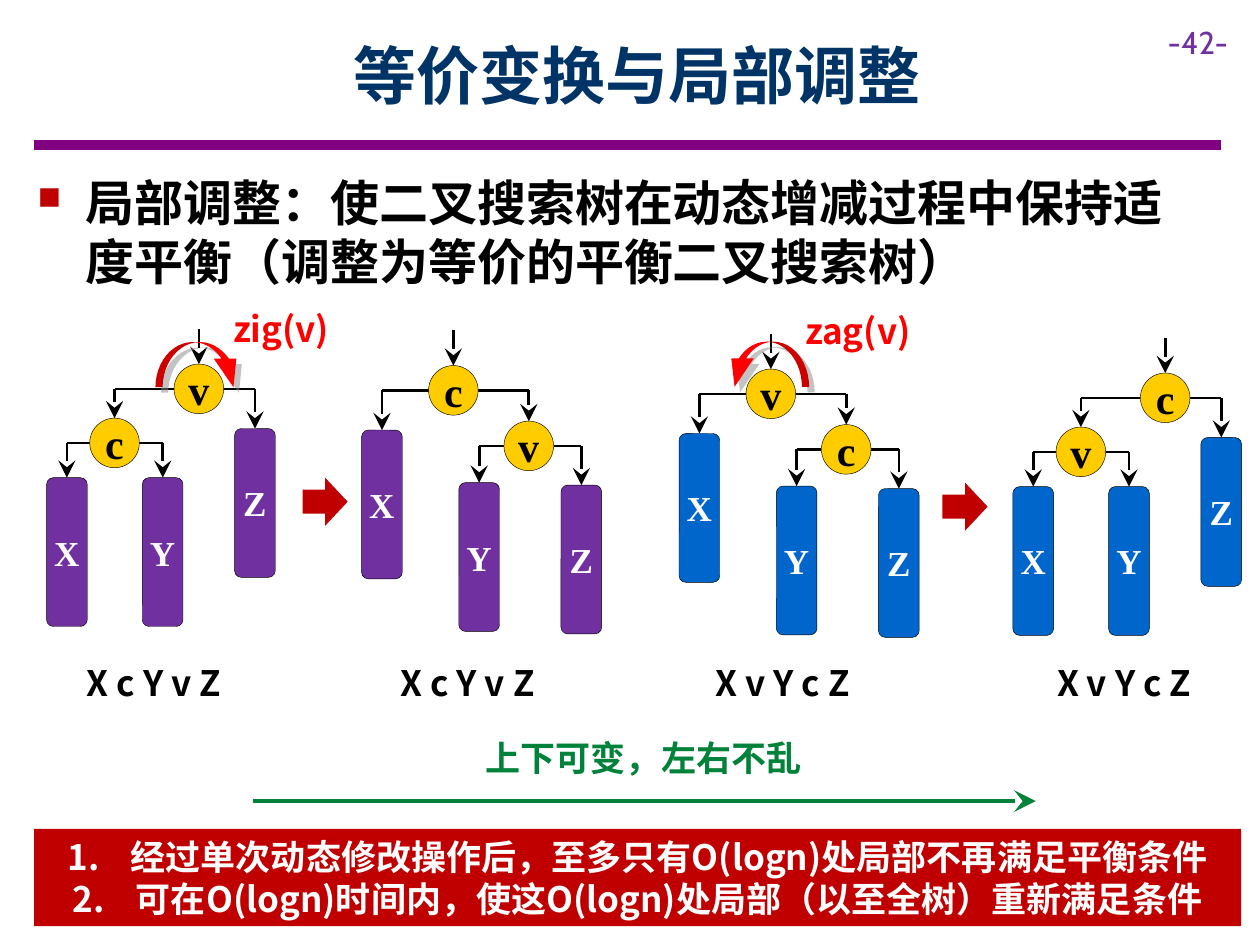
from lxml import etree
from pptx import Presentation
from pptx.dml.color import RGBColor
from pptx.enum.shapes import MSO_CONNECTOR, MSO_SHAPE
from pptx.enum.text import MSO_ANCHOR, PP_ALIGN
from pptx.oxml.ns import qn
from pptx.util import Cm, Pt

STRAIGHT = MSO_CONNECTOR.STRAIGHT
ROUNDED, RECTANGLE = MSO_SHAPE.ROUNDED_RECTANGLE, MSO_SHAPE.RECTANGLE
RIGHT_ARROW, CURVED_ARROW = MSO_SHAPE.RIGHT_ARROW, MSO_SHAPE.CURVED_LEFT_ARROW
LEFT, CENTER = PP_ALIGN.LEFT, PP_ALIGN.CENTER
TOP, MIDDLE = MSO_ANCHOR.TOP, MSO_ANCHOR.MIDDLE

SANS, SERIF, NUMBER_FONT = "Noto Sans CJK SC", "Times New Roman", "Cabin"
BLACK, WHITE = RGBColor(0, 0, 0), RGBColor(255, 255, 255)
NAVY, RULE_PURPLE = RGBColor(0, 0x33, 0x66), RGBColor(0x80, 0, 0x80)
PURPLE, BLUE = RGBColor(0x70, 0x30, 0xA0), RGBColor(0, 0x66, 0xCC)
YELLOW, GREEN = RGBColor(0xFF, 0xCC, 0), RGBColor(0, 0x82, 0x3B)
DARK_RED, RED = RGBColor(0xC0, 0, 0), RGBColor(0xFF, 0, 0)

TITLE = "等价变换与局部调整"
POINT = "局部调整：使二叉搜索树在动态增减过程中保持适度平衡（调整为等价的平衡二叉搜索树）"
MOTTO = "上下可变，左右不乱"
CONCLUSIONS = [
    "经过单次动态修改操作后，至多只有O(logn)处局部不再满足平衡条件",
    "可在O(logn)时间内，使这O(logn)处局部（以至全树）重新满足条件",
]

# Offsets in cm from the top left corner of the root
LEFT_HEAVY = {"child": (-1.7, 1.09), "X": (-2.57, 2.29), "Y": (-0.64, 2.29), "Z": (1.22, 1.3)}
RIGHT_HEAVY = {"child": (1.52, 1.12), "X": (-1.35, 1.3), "Y": (0.61, 2.36), "Z": (2.67, 2.41)}
# root left, root top, root name, child name, layout, bar colour, order, order left
TREES = [
    (3.51, 7.34, "v", "c", LEFT_HEAVY, PURPLE, "X c Y v Z", 1.5),
    (8.64, 7.37, "c", "v", RIGHT_HEAVY, PURPLE, "X c Y v Z", 7.82),
    (15.04, 7.44, "v", "c", RIGHT_HEAVY, BLUE, "X v Y c Z", 14.17),
    (22.99, 7.52, "c", "v", LEFT_HEAVY, BLUE, "X v Y c Z", 21.06),
]
STEP_ARROWS = [(6.1, 9.63), (19, 9.73)]
# label, label left, label top, arrow left, arrow top, arrow length, mirrored
ROTATIONS = [
    ("zig(v)", 4.45, 6.07, 3.58, 6.45, 1.8, False),
    ("zag(v)", 15.98, 6.1, 14.99, 6.48, 1.73, True),
]
BALL, BAR_WIDTH, BAR_HEIGHT = 1, 0.82, 3


def add_xml(parent, tag, **attributes):
    return etree.SubElement(parent, qn(tag), attributes)


def write(shape, texts, size, color, font=SANS, bold=True, align=LEFT, anchor=TOP,
          inset=(0.25, 0.13), bullet=None, indent=0, after=0):
    frame = shape.text_frame
    frame.word_wrap = True
    frame.vertical_anchor = anchor
    frame.margin_left = frame.margin_right = Cm(inset[0])
    frame.margin_top = frame.margin_bottom = Cm(inset[1])
    for index, text in enumerate(texts):
        paragraph = frame.add_paragraph() if index else frame.paragraphs[0]
        if bullet:
            properties = paragraph._p.get_or_add_pPr()
            properties.set("marL", str(Cm(indent)))
            properties.set("indent", str(-Cm(indent)))
            bullet(properties)
        paragraph.alignment = align
        paragraph.space_after = Pt(after)
        if font == SANS:
            paragraph.line_spacing = Pt(round(size * 1.2))
        run = paragraph.add_run()
        run.text = text
        for name, value in {"name": font, "size": Pt(size), "bold": bold}.items():
            setattr(run.font, name, value)
        run.font.color.rgb = color
        add_xml(run._r.get_or_add_rPr(), "a:ea", typeface=font)


def square_bullet(properties):
    color = add_xml(properties, "a:buClr")
    add_xml(color, "a:srgbClr", val=str(DARK_RED))
    add_xml(properties, "a:buSzPct", val="65000")
    add_xml(properties, "a:buChar", char="■")


def number_bullet(properties):
    add_xml(properties, "a:buAutoNum", type="arabicPeriod")


def add_text(slide, box, text, size, color, **style):
    write(slide.shapes.add_textbox(*map(Cm, box)), [text], size, color, **style)


def add_shape(slide, kind, box, fill, outlined=False):
    shape = slide.shapes.add_shape(kind, *map(Cm, box))
    shape.shadow.inherit = False
    shape.fill.solid()
    shape.fill.fore_color.rgb = fill
    if outlined:
        shape.line.color.rgb = BLACK
        shape.line.width = Pt(0.25)
    else:
        shape.line.fill.background()
    return shape


def add_line(slide, start, end, color=BLACK, width=1.5, arrow=False):
    line = slide.shapes.add_connector(STRAIGHT, *map(Cm, (*start, *end)))
    line.line.color.rgb = color
    line.line.width = Pt(width)
    if arrow:
        add_xml(line.line._get_or_add_ln(), "a:tailEnd", type="stealth", w="lg", len="lg")
    add_xml(line._element.spPr, "a:effectLst")


def add_branch(slide, parent, target, target_width):
    """Run sideways from the parent ball, then down to the top of the target."""
    x = target[0] + target_width / 2
    y = parent[1] + BALL / 2
    side = parent[0] if x < parent[0] else parent[0] + BALL
    add_line(slide, (side, y), (x, y))
    add_line(slide, (x, y), (x, target[1]), arrow=True)


def add_ball(slide, position, name):
    ball = add_shape(slide, ROUNDED, (*position, BALL, BALL), YELLOW, outlined=True)
    ball.adjustments[0] = 0.5
    write(ball, [name], 24, BLACK, font=SERIF, align=CENTER, anchor=MIDDLE, inset=(0, 0))


def add_tree(slide, left, top, root_name, child_name, layout, color):
    root = (left, top)
    places = {name: (left + dx, top + dy) for name, (dx, dy) in layout.items()}
    child = places.pop("child")
    outer = "Z" if layout is LEFT_HEAVY else "X"
    center = left + BALL / 2
    add_line(slide, (center, top - 0.71), (center, top), arrow=True)
    add_branch(slide, root, child, BALL)
    for name, place in places.items():
        add_branch(slide, root if name == outer else child, place, BAR_WIDTH)
    for name, place in places.items():
        bar = add_shape(slide, ROUNDED, (*place, BAR_WIDTH, BAR_HEIGHT), color, outlined=True)
        write(bar, [name], 20, WHITE, font=SERIF, align=CENTER, anchor=MIDDLE, inset=(0, 0.25))
    add_ball(slide, root, root_name)
    add_ball(slide, child, child_name)


def add_rotation_arrow(slide, left, top, length, mirrored):
    arrow = add_shape(slide, CURVED_ARROW, (left, top, 0.91, length), RED)
    arrow.rotation = 270
    for index, value in enumerate((0.16, 0.5, 0.633)):
        arrow.adjustments[index] = value
    properties = arrow._element.spPr
    if mirrored:
        properties.find(qn("a:xfrm")).set("flipV", "1")
    shadow = add_xml(properties.find(qn("a:effectLst")), "a:outerShdw", dist=str(Pt(4.5)),
                     dir="2700000", algn="ctr", rotWithShape="0")
    add_xml(add_xml(shadow, "a:srgbClr", val="888888"), "a:alpha", val="50000")


def main():
    presentation = Presentation()
    presentation.slide_width, presentation.slide_height = Cm(25.4), Cm(19.05)
    slide = presentation.slides.add_slide(presentation.slide_layouts[6])

    add_line(slide, (0.69, 2.92), (24.61, 2.92), RULE_PURPLE, 6)
    add_text(slide, (23.29, 0.33, 2.11, 1.02), "-42-", 18, PURPLE, font=NUMBER_FONT, bold=False)
    add_text(slide, (2.29, 0.23, 21.11, 2.54), TITLE, 36, NAVY, align=CENTER, anchor=MIDDLE)
    add_text(slide, (0.51, 3.33, 23.39, 2.64), POINT, 28, BLACK,
             bullet=square_bullet, indent=0.97, after=6)

    for left, top, root, child, layout, color, order, order_left in TREES:
        add_tree(slide, left, top, root, child, layout, color)
        add_text(slide, (order_left, 13.21, 3.6, 1.12), order, 20, BLACK, after=6)
    for position in STEP_ARROWS:
        add_shape(slide, RIGHT_ARROW, (*position, 0.91, 0.97), DARK_RED)
    for label, label_left, label_top, left, top, length, mirrored in ROTATIONS:
        add_rotation_arrow(slide, left, top, length, mirrored)
        add_text(slide, (label_left, label_top, 2.7, 1.12), label, 20, RED, after=6)

    add_text(slide, (9.04, 14.71, 7.87, 1.12), MOTTO, 20, GREEN, align=CENTER)
    add_line(slide, (5.11, 16.15), (20.88, 16.15), GREEN, 2.5, arrow=True)
    banner = add_shape(slide, RECTANGLE, (0.69, 16.71, 24.33, 1.96), DARK_RED)
    write(banner, CONCLUSIONS, 20, WHITE, align=CENTER, bullet=number_bullet, indent=1.27)
    presentation.save("out.pptx")


if __name__ == "__main__":
    main()
